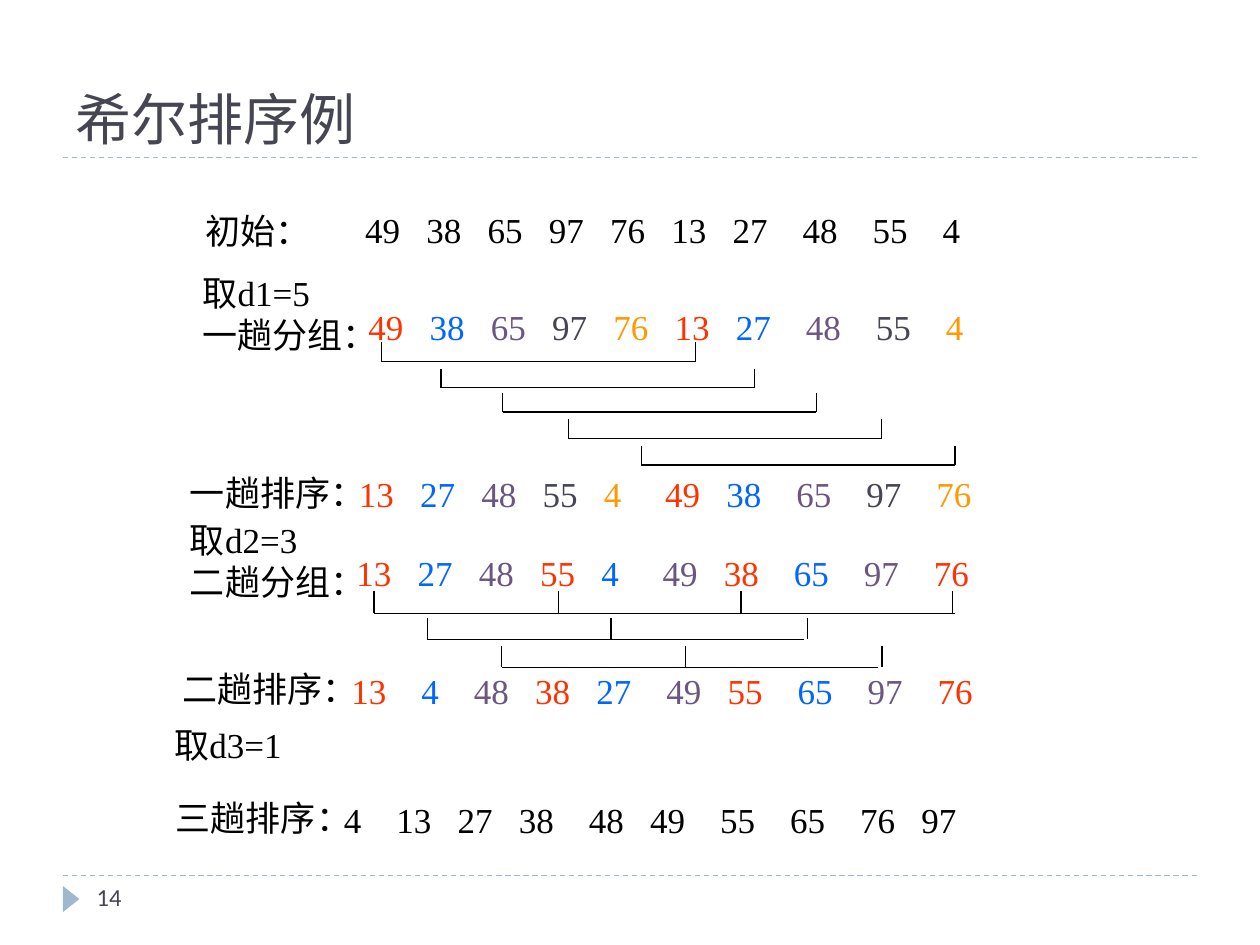
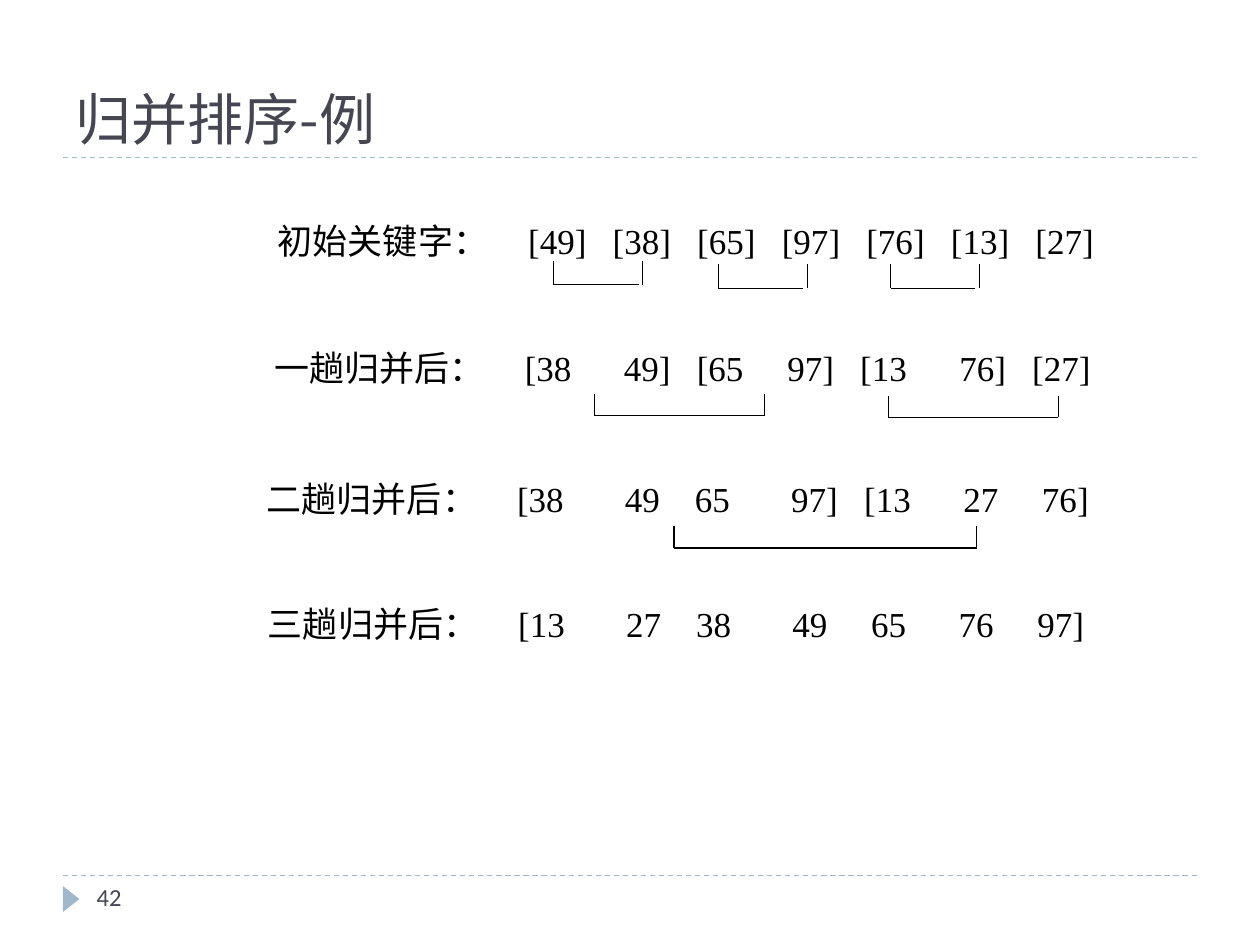
import itertools

import pptx
import pptx.dml.color
import pptx.enum.dml
import pptx.enum.shapes
import pptx.enum.text
import pptx.oxml
import pptx.oxml.ns
import pptx.util

Pt = pptx.util.Pt
INK, ACCENT, BLACK = "464653", "9FB8CD", "000000"
RED, BLUE, PURPLE, ORANGE = "FF3300", "0066FF", "6B5680", "FF9900"
GROUPS_OF_5 = [RED, BLUE, PURPLE, INK, ORANGE]
GROUPS_OF_3 = [RED, BLUE, PURPLE]
CJK = "Noto Sans CJK SC"
TITLE = {"size": Pt(32), "name": CJK}
NUMBER = {"size": Pt(14), "name": "Calibri"}
BODY = {"size": Pt(20), "name": "Times New Roman"}
SPACE = 5
SCRIPT_GAP = 3
INSETS = 14.4


def color(value):
    """Turn a hex string into a colour."""
    return pptx.dml.color.RGBColor.from_string(value)


def element(tag, **attributes):
    """Make an empty DrawingML element."""
    el = pptx.oxml.parse_xml(f"<a:{tag} {pptx.oxml.ns.nsdecls('a')}/>")
    for name, value in attributes.items():
        el.set(name, str(value))
    return el


def text_width(text):
    """Give the width of 20 point text, with the gap between scripts."""
    width = sum(20 if ord(c) > 255 else 6.66 if c in "[]" else 10 for c in text)
    return width + SCRIPT_GAP * (not text.isascii())


def add_run(p, text, style, fill):
    """Add a formatted run to a paragraph."""
    r = p.add_run()
    r.text = text
    for name, value in style.items():
        setattr(r.font, name, value)
    r.font.color.rgb = color(fill)
    r._r.get_or_add_rPr().append(element("ea", typeface=CJK))


def add_frame(s, left, top, width, height, **settings):
    """Add an empty text box and return its text frame."""
    tf = s.shapes.add_textbox(Pt(left), Pt(top), Pt(width), Pt(height)).text_frame
    for name, value in {"word_wrap": True, **settings}.items():
        setattr(tf, name, value)
    return tf


def add_label(s, left, top, *lines):
    """Add a step label with one paragraph per line."""
    width = max(map(text_width, lines)) + INSETS + 10
    tf = add_frame(s, left, top, width, 8 + 24 * len(lines))
    for i, line in enumerate(lines):
        p = tf.add_paragraph() if i else tf.paragraphs[0]
        add_run(p, line, BODY, BLACK)


def add_row(s, left, top, items, gaps, fills=(BLACK,)):
    """Add a row of items on tab stops; gaps counts the spaces between items."""
    items = items.split()
    steps = [text_width(item) + SPACE * int(gap) for item, gap in zip(items, gaps)]
    stops = list(itertools.accumulate(steps))
    width = stops[-1] + text_width(items[-1]) + INSETS + 2
    p = add_frame(s, left, top, width, 32).paragraphs[0]
    tabs = element("tabLst")
    for stop in stops:
        tabs.append(element("tab", pos=int(Pt(stop)), algn="l"))
    p._p.get_or_add_pPr().append(tabs)
    for i, (item, fill) in enumerate(zip(items, itertools.cycle(fills))):
        add_run(p, item + "\t" * (i < len(stops)), BODY, fill)


def add_line(s, x1, y1, x2, y2, fill=BLACK, dash=None):
    """Add a thin straight line."""
    kind = pptx.enum.shapes.MSO_CONNECTOR.STRAIGHT
    sp = s.shapes.add_connector(kind, Pt(x1), Pt(y1), Pt(x2), Pt(y2))
    sp.line.color.rgb = color(fill)
    sp.line.width = Pt(0.75)
    if dash:
        sp.line.dash_style = dash
    sp._element.spPr.append(element("effectLst"))


def add_bracket(s, bottom, height, ticks, end=None):
    """Join the ticks below the numbers with a base line."""
    add_line(s, ticks[0], bottom, end or ticks[-1], bottom)
    for x in ticks:
        add_line(s, x, bottom - height, x, bottom)


def add_base(prs, title, number):
    """Add a slide with its title, dashed rules and page marker."""
    s = prs.slides.add_slide(prs.slide_layouts[6])
    for y in (500.4, 90):
        add_line(s, 36, y, 684, y, ACCENT, pptx.enum.dml.MSO_LINE.DASH)
    kind = pptx.enum.shapes.MSO_SHAPE.ISOSCELES_TRIANGLE
    sp = s.shapes.add_shape(kind, Pt(33.1), Pt(509), Pt(15), Pt(9.5))
    sp.rotation = 90
    sp.shadow.inherit = False
    sp.fill.solid()
    sp.fill.fore_color.rgb = color(ACCENT)
    sp.line.fill.background()
    bottom = pptx.enum.text.MSO_ANCHOR.BOTTOM
    tf = add_frame(s, 36, 12.2, 648, 77.8, vertical_anchor=bottom)
    add_run(tf.paragraphs[0], title, TITLE, INK)
    tf = add_frame(s, 48.2, 500.4, 156, 29)
    add_run(tf.paragraphs[0], number, NUMBER, INK)
    return s


def add_shell_sort(prs):
    """Build the Shell sort example."""
    s = add_base(prs, "希尔排序例", "14")
    start = "49 38 65 97 76 13 27 48 55 4"
    first = "13 27 48 55 4 49 38 65 97 76"
    add_label(s, 110.4, 116, "初始：")
    add_row(s, 201.6, 115.5, start, "333333444")
    add_label(s, 108.7, 151.7, "取d1=5", "一趟分组：")
    add_row(s, 203.4, 171, start, "333333444", GROUPS_OF_5)
    for x, bottom in [(218.2, 206.6), (252, 221.6), (287.3, 235.4), (324.7, 250.6), (366.5, 265.7)]:
        add_bracket(s, bottom, 11, [x, x + 179.2])
    add_label(s, 101.5, 265.7, "一趟排序：")
    add_row(s, 198, 266.4, first, "333353444", GROUPS_OF_5)
    add_label(s, 101.5, 292.6, "取d2=3", "二趟分组：")
    add_row(s, 196.6, 311.8, first, "333353444", GROUPS_OF_3)
    add_bracket(s, 350.4, 12.4, [213.8, 319, 423.4, 544.3], 545.8)
    add_bracket(s, 365.4, 12.4, [244.1, 349.2, 461.5], 459.4)
    add_bracket(s, 381.4, 12.4, [286.6, 391.7, 504], 501.8)
    add_label(s, 97.2, 378, "二趟排序：")
    add_row(s, 193.7, 379, "13 4 48 38 27 49 55 65 97 76", "443343444", GROUPS_OF_3)
    add_label(s, 92.5, 409.7, "取d3=1")
    add_label(s, 93.4, 451.4, "三趟排序：")
    add_row(s, 189.4, 452.9, "4 13 27 38 48 49 55 65 76 97", "433434443")


def add_merge_sort(prs):
    """Build the merge sort example."""
    s = add_base(prs, "归并排序-例", "42")
    add_row(s, 151.7, 121.7, "初始关键字： [49] [38] [65] [97] [76] [13] [27]", "4333333")
    add_bracket(s, 162.6, 13.7, [316.4, 367.2], 365)
    add_bracket(s, 164.8, 13.7, [410.4, 461.5], 458.6)
    add_bracket(s, 164.8, 13.7, [509, 559.8], 557.3)
    add_row(s, 149.8, 194.6, "一趟归并后： [38 49] [65 97] [13 76] [27]", "4635363")
    add_bracket(s, 237.6, 12.2, [339.8, 437])
    add_bracket(s, 238.5, 12.2, [507.6, 604.8])
    add_row(s, 145.4, 269.3, "二趟归并后： [38 49 65 97] [13 27 76]", "4747365")
    add_bracket(s, 313.2, 12.8, [385.2, 558])
    add_row(s, 146, 340.6, "三趟归并后： [13 27 38 49 65 76 97]", "4747565")


def main():
    """Build and save the slides."""
    prs = pptx.Presentation()
    prs.slide_width, prs.slide_height = Pt(720), Pt(540)
    add_shell_sort(prs)
    add_merge_sort(prs)
    prs.save("out.pptx")


if __name__ == "__main__":
    main()
